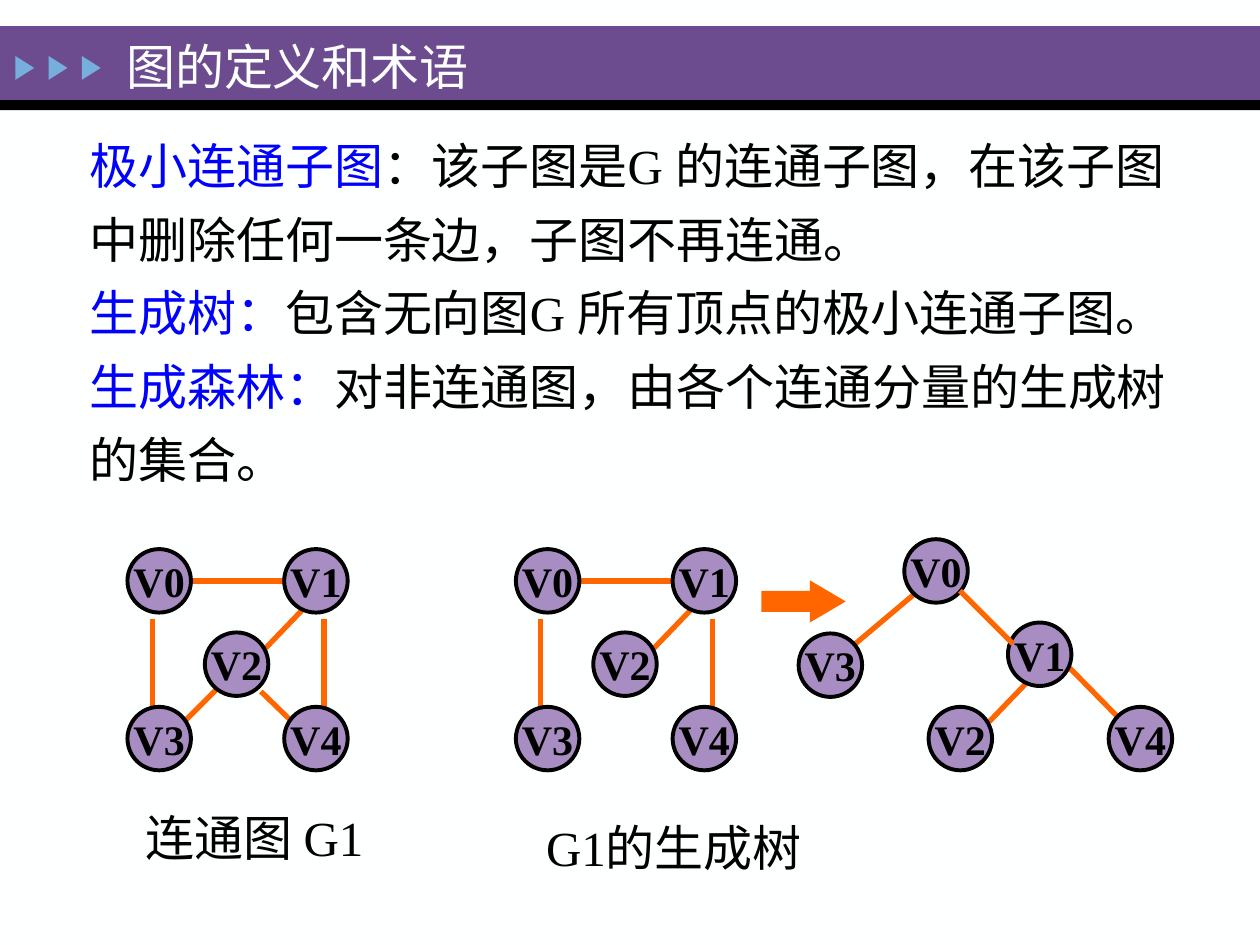
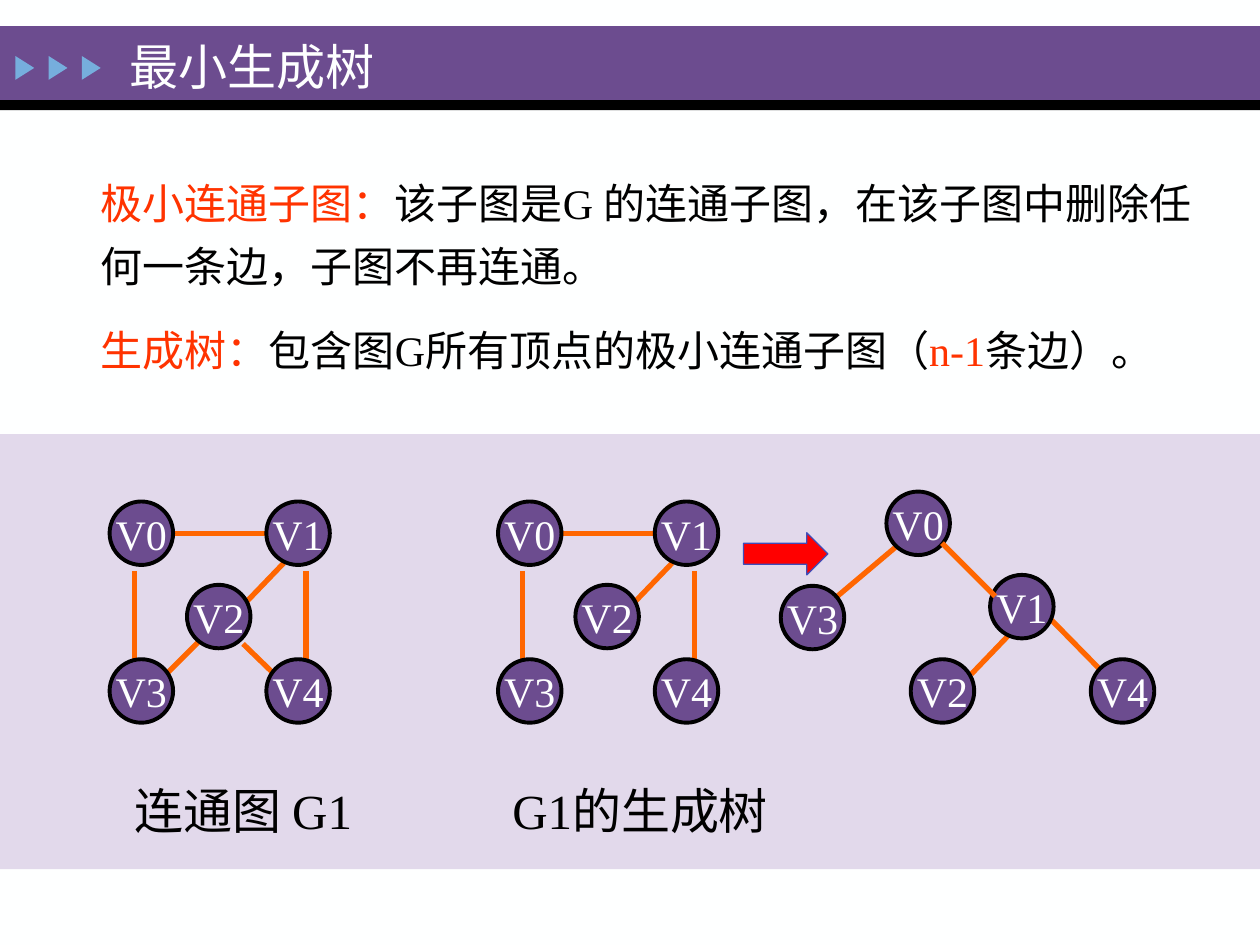
from dataclasses import dataclass
from typing import NamedTuple, Optional

from lxml import etree
from pptx import Presentation
from pptx.dml.color import RGBColor
from pptx.enum.shapes import MSO_CONNECTOR, MSO_SHAPE
from pptx.enum.text import MSO_ANCHOR, MSO_AUTO_SIZE, PP_ALIGN
from pptx.oxml.ns import qn
from pptx.util import Cm, Pt

FONT = "Times New Roman"
WHITE = RGBColor(0xFE, 0xFF, 0xFF)
BLACK = RGBColor(0, 0, 0)
PURPLE = RGBColor(0x6C, 0x4C, 0x8F)
LILAC = RGBColor(0xA7, 0x8D, 0xC2)
PALE = RGBColor(0xE2, 0xD9, 0xEB)
SKY = RGBColor(0x76, 0xAE, 0xDD)
BLUE = RGBColor(0, 0, 0xFF)
CORAL = RGBColor(0xFF, 0x33, 0)
ORANGE = RGBColor(0xFF, 0x66, 0)
RED = RGBColor(0xFF, 0, 0)
INDIGO = RGBColor(0x3E, 0x4D, 0xBA)

WIDE = 25.4
NODE = 1.28  # node diameter


class Box(NamedTuple):
    x: float
    y: float
    w: float
    h: float

    def cm(self) -> tuple:
        return tuple(Cm(v) for v in self)


class Edge(NamedTuple):
    x1: float
    y1: float
    x2: float
    y2: float


class Span(NamedTuple):
    text: str
    color: RGBColor = BLACK


@dataclass
class Graph:
    x: float
    y: float
    nodes: dict
    edges: list  # behind the nodes
    over: tuple = ()  # in front of the nodes


@dataclass
class Look:
    fill: RGBColor
    ink: RGBColor
    bold: bool
    dx: float = 0
    dy: float = 0


# Graph shapes, relative to the top left of each drawing
RING = {"V0": (0, 0), "V1": (3.16, 0), "V2": (1.56, 1.68),
        "V3": (0, 3.18), "V4": (3.16, 3.18)}
SPAN = [Edge(0.5, 1.4, 0.5, 3.23), Edge(1.27, 0.64, 3.35, 0.64),
        Edge(3.96, 1.4, 3.96, 3.23), Edge(3.51, 1.24, 2.77, 2.01)]
EXTRA = [Edge(1.85, 2.77, 1.09, 3.53), Edge(2.69, 2.87, 3.35, 3.51)]
TREE = {"V0": (2.13, 0), "V1": (4.22, 1.68), "V2": (2.62, 3.38),
        "V3": (0, 1.9), "V4": (6.25, 3.38)}
LIMBS = [Edge(2.41, 1.04, 1.14, 2.11), Edge(5.38, 2.51, 6.43, 3.58),
         Edge(4.57, 2.92, 3.84, 3.68)]
GRAPHS = [
    Graph(2.57, 11.07, RING, SPAN + EXTRA),
    Graph(10.4, 11.07, RING, SPAN),
    Graph(16.1, 10.87, TREE, LIMBS, (Edge(3.25, 1.04, 4.32, 2.11),)),
]


def add_form(slide, kind, box: Box, fill: RGBColor,
             line: Optional[RGBColor] = None, width: float = 0):
    form = slide.shapes.add_shape(kind, *box.cm())
    form.shadow.inherit = False
    form.fill.solid()
    form.fill.fore_color.rgb = fill
    if line is None:
        form.line.fill.background()
    else:
        form.line.color.rgb = line
        form.line.width = Pt(width)
    return form


def set_font(para, size: int, color: Optional[RGBColor] = None,
             bold: bool = False) -> None:
    font = para.font
    font.name, font.size, font.bold = FONT, Pt(size), bold
    if color is not None:
        font.color.rgb = color


def add_edge(slide, edge: Edge, x: float, y: float) -> None:
    line = slide.shapes.add_connector(
        MSO_CONNECTOR.STRAIGHT, Cm(x + edge.x1), Cm(y + edge.y1),
        Cm(x + edge.x2), Cm(y + edge.y2))
    line.line.color.rgb = ORANGE
    line.line.width = Pt(3)
    etree.SubElement(line.element.spPr, qn("a:effectLst"))


def add_node(slide, name: str, x: float, y: float, look: Look) -> None:
    node = add_form(slide, MSO_SHAPE.OVAL, Box(x, y, NODE, NODE),
                    look.fill, BLACK, 2.25)
    frame = node.text_frame
    frame.margin_left = frame.margin_right = Cm(0)
    frame.margin_top = frame.margin_bottom = Cm(0)
    frame.word_wrap = False
    frame.vertical_anchor = MSO_ANCHOR.MIDDLE
    frame.text = name
    para = frame.paragraphs[0]
    para.alignment = PP_ALIGN.CENTER
    set_font(para, 24, look.ink, look.bold)


def add_graph(slide, graph: Graph, look: Look) -> None:
    x, y = graph.x + look.dx, graph.y + look.dy
    for edge in graph.edges:
        add_edge(slide, edge, x, y)
    for name, (left, top) in graph.nodes.items():
        add_node(slide, name, x + left, y + top, look)
    for edge in graph.over:
        add_edge(slide, edge, x, y)


def add_note(slide, text: str, x: float, y: float) -> None:
    note = slide.shapes.add_textbox(*Box(x, y, 6.25, 1.45).cm())
    note.text_frame.word_wrap = True
    note.text_frame.text = text
    para = note.text_frame.paragraphs[0]
    para.alignment = PP_ALIGN.CENTER
    set_font(para, 28, BLACK)


def place(holder, box: Box, anchor):
    holder.left, holder.top, holder.width, holder.height = box.cm()
    frame = holder.text_frame
    frame.word_wrap = True
    frame.auto_size = MSO_AUTO_SIZE.NONE
    frame.vertical_anchor = anchor
    return frame


def set_title(slide, text: str, x: float) -> None:
    frame = place(slide.shapes.title, Box(x, 0.45, 17, 1.75),
                  MSO_ANCHOR.MIDDLE)
    frame.text = text
    para = frame.paragraphs[0]
    para.alignment = PP_ALIGN.LEFT
    set_font(para, 28, WHITE)


def set_body(slide, box: Box, rows: list, size: int, gap: float) -> None:
    frame = place(slide.placeholders[1], box, MSO_ANCHOR.TOP)
    for i, row in enumerate(rows):
        para = frame.add_paragraph() if i else frame.paragraphs[0]
        props = para._p.get_or_add_pPr()
        props.set("marL", "0")
        props.set("indent", "0")
        etree.SubElement(props, qn("a:buNone"))
        para.line_spacing = 1.25
        para.space_before = Pt(gap if i else 0)
        set_font(para, size)
        for span in row:
            run = para.add_run()
            run.text = span.text
            run.font.color.rgb = span.color


def dress(layout, slide) -> None:
    """Give the layout its background, bands and three pointers."""
    layout.background.fill.solid()
    layout.background.fill.fore_color.rgb = WHITE
    for holder in list(layout.placeholders):
        if holder.placeholder_format.idx >= 10:
            layout.shapes.element.remove(holder.element)
    parts = [
        add_form(slide, MSO_SHAPE.RECTANGLE, Box(0, 0.53, WIDE, 1.5), PURPLE),
        add_form(slide, MSO_SHAPE.RECTANGLE, Box(0, 2.02, WIDE, 0.2), BLACK),
    ]
    for i in range(3):
        mark = add_form(slide, MSO_SHAPE.ISOSCELES_TRIANGLE,
                        Box(0.26 + 0.67 * i, 1.18, 0.48, 0.38), SKY)
        mark.rotation = 90
        parts.append(mark)
    for i, part in enumerate(parts):
        layout.shapes.element.insert(2 + i, part.element)


def add_graphs(slide, look: Look) -> None:
    for graph in GRAPHS:
        add_graph(slide, graph, look)


def main() -> None:
    deck = Presentation()
    deck.slide_width, deck.slide_height = Cm(WIDE), Cm(19.05)
    layout = deck.slide_layouts[1]

    # Definitions and terms
    slide = deck.slides.add_slide(layout)
    dress(layout, slide)
    set_title(slide, "图的定义和术语", 2.29)
    set_body(slide, Box(1.55, 2.31, 23.01, 7.75), [
        [Span("极小连通子图", BLUE),
         Span("：该子图是G 的连通子图，在该子图中删除任何一条边，子图不再连通。")],
        [Span("生成树：", BLUE), Span("包含无向图G 所有顶点的极小连通子图。")],
        [Span("生成森林：", BLUE),
         Span("对非连通图，由各个连通分量的生成树的集合。")],
    ], 28, 0)
    add_note(slide, "连通图 G1", 2.01, 16.15)
    add_note(slide, "G1的生成树", 10.46, 16.36)
    add_graphs(slide, Look(LILAC, BLACK, True))
    arrow = add_form(slide, MSO_SHAPE.RIGHT_ARROW,
                     Box(15.35, 11.7, 1.7, 0.85), ORANGE)
    arrow.adjustments[1] = 0.85

    # Minimum spanning tree
    slide = deck.slides.add_slide(layout)
    set_title(slide, "最小生成树", 2.36)
    add_form(slide, MSO_SHAPE.RECTANGLE, Box(0, 8.75, WIDE, 8.77), PALE)
    set_body(slide, Box(1.78, 3.2, 22.6, 4.62), [
        [Span("极小连通子图：", CORAL),
         Span("该子图是G 的连通子图，在该子图中删除任何一条边，子图不再连通。")],
        [Span("生成树：", CORAL), Span("包含图G所有顶点的极小连通子图（"),
         Span("n-1", CORAL), Span("条边）。")],
    ], 24, 12)
    add_note(slide, "G1的生成树", 9.78, 15.6)
    add_note(slide, "连通图 G1", 1.78, 15.6)
    add_graphs(slide, Look(PURPLE, WHITE, False, -0.36, -0.96))
    add_form(slide, MSO_SHAPE.RIGHT_ARROW, Box(14.99, 10.74, 1.7, 0.85),
             RED, INDIGO, 0.75)

    deck.save("out.pptx")


if __name__ == "__main__":
    main()
